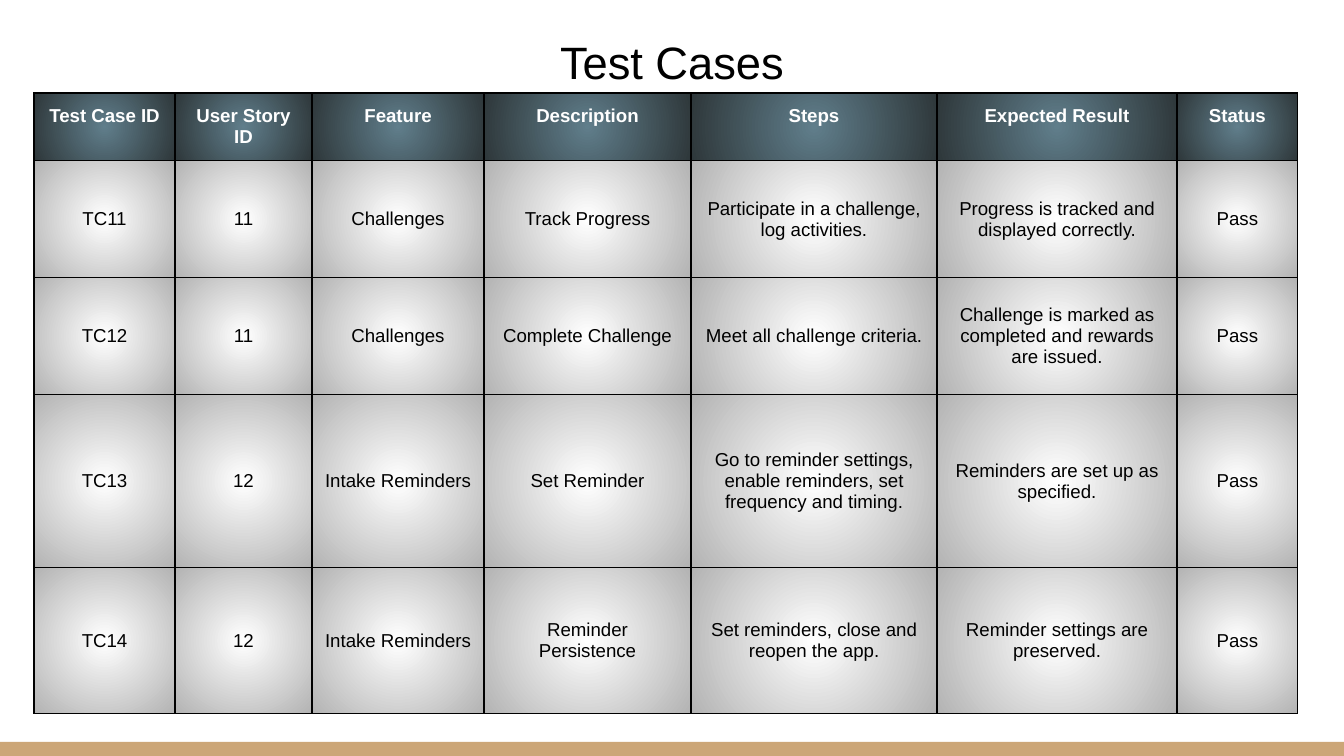
import lxml.etree
import pptx
import pptx.dml.color
import pptx.enum.shapes
import pptx.enum.text
import pptx.oxml.ns
import pptx.util

PX = 914400 / 134.4
COLORS = {
    "text": "000000",
    "header_text": "FFFFFF",
    "border": "000000",
    "band": "CCA677",
    "header_center": "607E8B",
    "header_edge": "2E373A",
    "body_center": "FFFFFF",
    "body_edge": "B3B3B3",
}
COLUMN_WIDTHS = [141, 137, 172, 207, 246, 240, 121]
ROW_HEIGHTS = [62, 117, 117, 173, 146]
TEST_CASES = [
    ["Test Case ID", "User Story ID", "Feature", "Description", "Steps",
     "Expected Result", "Status"],
    ["TC11", "11", "Challenges", "Track Progress",
     "Participate in a challenge, log activities.",
     "Progress is tracked and displayed correctly.", "Pass"],
    ["TC12", "11", "Challenges", "Complete Challenge",
     "Meet all challenge criteria.",
     "Challenge is marked as completed and rewards are issued.", "Pass"],
    ["TC13", "12", "Intake Reminders", "Set Reminder",
     "Go to reminder settings, enable reminders, set frequency and timing.",
     "Reminders are set up as specified.", "Pass"],
    ["TC14", "12", "Intake Reminders", "Reminder Persistence",
     "Set reminders, close and reopen the app.",
     "Reminder settings are preserved.", "Pass"],
]


def px(length):
    return pptx.util.Emu(round(length * PX))


def rgb(name):
    return pptx.dml.color.RGBColor.from_string(COLORS[name])


def add_element(parent, tag, **attributes):
    return lxml.etree.SubElement(parent, pptx.oxml.ns.qn(tag), attributes)


class SlideBuilder:
    font = "Arial"
    inset = 13

    def __init__(self, slide):
        self.slide = slide

    def add_text(self, frame, text, size, color, bold=False):
        frame.word_wrap = True
        paragraph = frame.paragraphs[0]
        paragraph.alignment = pptx.enum.text.PP_ALIGN.CENTER
        run = paragraph.add_run()
        run.text = text
        run.font.name = self.font
        run.font.size = pptx.util.Pt(size)
        run.font.bold = bold
        run.font.color.rgb = rgb(color)

    def set_insets(self, target):
        target.margin_left = target.margin_right = px(self.inset)
        target.margin_top = target.margin_bottom = px(self.inset)

    def title(self, text, left, top, width, height):
        shape = self.slide.shapes.title
        shape.left, shape.top = px(left), px(top)
        shape.width, shape.height = px(width), px(height)
        frame = shape.text_frame
        frame.auto_size = pptx.enum.text.MSO_AUTO_SIZE.NONE
        frame.vertical_anchor = pptx.enum.text.MSO_ANCHOR.BOTTOM
        self.set_insets(frame)
        self.add_text(frame, text, 24.3, "text")

    def rectangle(self, left, top, width, height, color):
        shape = self.slide.shapes.add_shape(
            pptx.enum.shapes.MSO_SHAPE.RECTANGLE,
            px(left), px(top), px(width), px(height))
        shape.shadow.inherit = False
        shape.fill.solid()
        shape.fill.fore_color.rgb = rgb(color)
        shape.line.fill.background()

    def radial_fill(self, cell, center, edge):
        cell.fill.gradient()
        for stop, color in zip(cell.fill.gradient_stops, (center, edge)):
            stop.color.rgb = rgb(color)
        gradient = cell._tc.tcPr.find(pptx.oxml.ns.qn("a:gradFill"))
        gradient.remove(gradient.find(pptx.oxml.ns.qn("a:lin")))
        circle = add_element(gradient, "a:path", path="circle")
        add_element(circle, "a:fillToRect",
                    l="50000", t="50000", r="50000", b="50000")

    def cell_borders(self, cell):
        properties = cell._tc.get_or_add_tcPr()
        width = str(int(pptx.util.Pt(0.75)))
        for index, tag in enumerate(("a:lnL", "a:lnR", "a:lnT", "a:lnB")):
            line = add_element(properties, tag, w=width)
            fill = add_element(line, "a:solidFill")
            add_element(fill, "a:srgbClr", val=COLORS["border"])
            properties.insert(index, line)

    def table(self, rows, left, top, column_widths, row_heights):
        table = self.slide.shapes.add_table(
            len(rows), len(column_widths), px(left), px(top),
            px(sum(column_widths)), px(sum(row_heights))).table
        table.horz_banding = False
        for column, width in zip(table.columns, column_widths):
            column.width = px(width)
        for row, height in zip(table.rows, row_heights):
            row.height = px(height)
        for row_index, texts in enumerate(rows):
            header = row_index == 0
            kind = "header" if header else "body"
            for column_index, text in enumerate(texts):
                cell = table.cell(row_index, column_index)
                self.set_insets(cell)
                anchors = pptx.enum.text.MSO_ANCHOR
                cell.vertical_anchor = anchors.TOP if header else anchors.MIDDLE
                self.radial_fill(cell, f"{kind}_center", f"{kind}_edge")
                self.cell_borders(cell)
                self.add_text(cell.text_frame, text, 10,
                              "header_text" if header else "text", header)


def main():
    presentation = pptx.Presentation()
    presentation.slide_width = px(1344)
    presentation.slide_height = px(756)
    title_only = presentation.slide_layouts[5]
    builder = SlideBuilder(presentation.slides.add_slide(title_only))
    builder.rectangle(0, 742, 1344, 14, "band")
    builder.title("Test Cases", 46, 0, 1252, 102)
    builder.table(TEST_CASES, 34, 93, COLUMN_WIDTHS, ROW_HEIGHTS)
    presentation.save("out.pptx")


if __name__ == "__main__":
    main()
